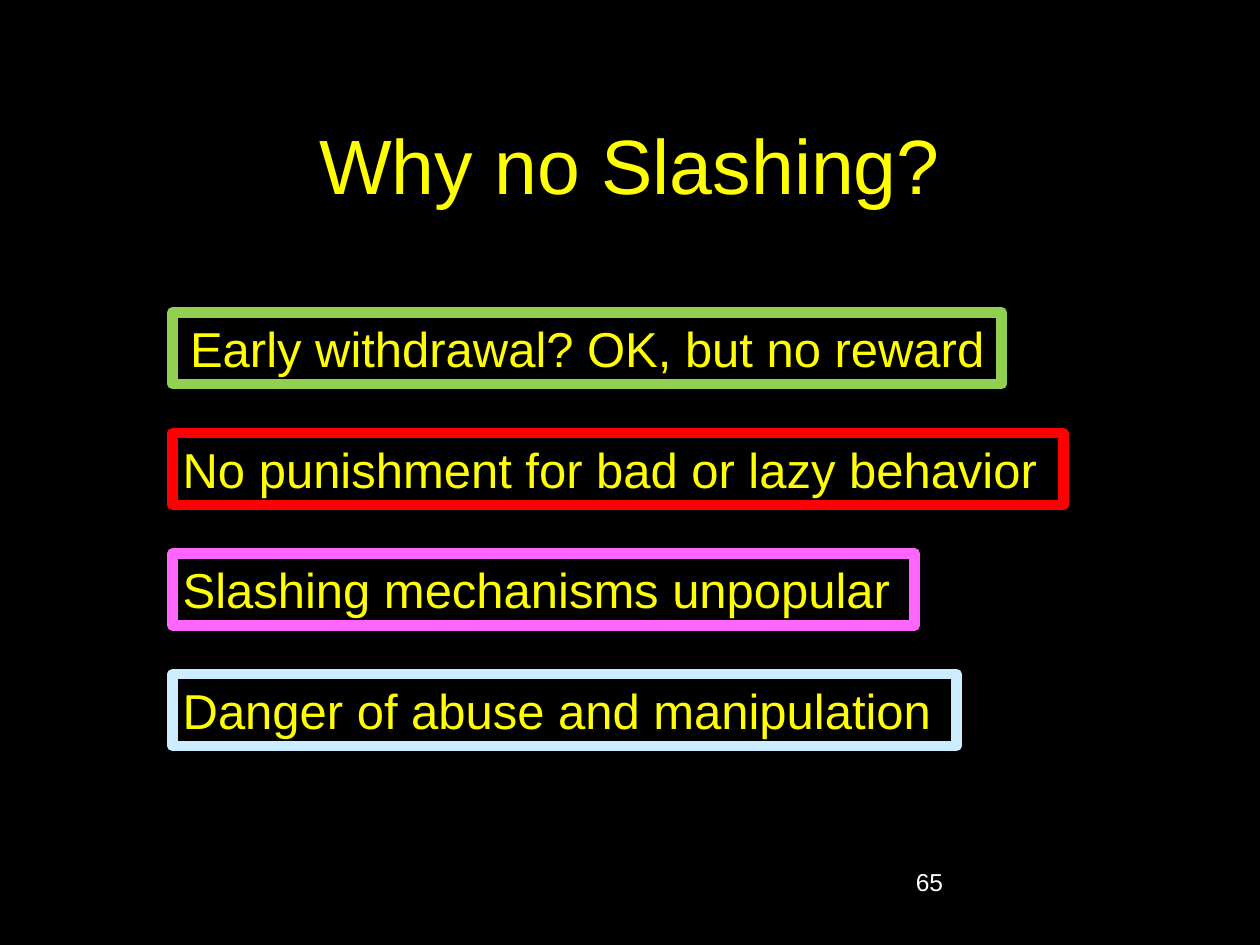
from pptx import Presentation
from pptx import util as u
from pptx.dml import color
from pptx.enum import shapes, text

HUES = {
    "black": "000000",
    "white": "FFFFFF",
    "yellow": "FFFF00",
    "green": "92D050",
    "red": "FF0000",
    "pink": "FF66FF",
    "blue": "CCECFF",
}
POINTS = [
    ("Early withdrawal? OK, but no reward", 6.58, "green", "CENTER"),
    ("No punishment for bad or lazy behavior", 7.07, "red", "LEFT"),
    ("Slashing mechanisms unpopular", 5.89, "pink", "LEFT"),
    ("Danger of abuse and manipulation", 6.22, "blue", "LEFT"),
]


def rgb(name):
    return color.RGBColor.from_string(HUES[name])


def write(shape, words, size, hue, align, anchor):
    frame = shape.text_frame
    frame.word_wrap = True
    frame.vertical_anchor = text.MSO_ANCHOR[anchor]
    line = frame.paragraphs[0]
    line.text = words
    line.alignment = text.PP_ALIGN[align]
    line.font.name = "Arial"
    line.font.size = u.Pt(size)
    line.font.color.rgb = rgb(hue)


deck = Presentation()
deck.slide_width = u.Inches(10)
deck.slide_height = u.Inches(7.5)
slide = deck.slides.add_slide(deck.slide_layouts[6])
slide.background.fill.solid()
slide.background.fill.fore_color.rgb = rgb("black")

title = slide.shapes.add_textbox(u.Inches(0.75), u.Inches(0.67), u.Inches(8.5), u.Inches(1.25))
write(title, "Why no Slashing?", 44, "yellow", "CENTER", "MIDDLE")

for row, (words, width, hue, align) in enumerate(POINTS):
    box = slide.shapes.add_shape(
        shapes.MSO_SHAPE.RECTANGLE,
        u.Inches(1.37), u.Inches(2.48 + row * 0.957), u.Inches(width), u.Inches(0.57),
    )
    box.shadow.inherit = False
    box.fill.solid()
    box.fill.fore_color.rgb = rgb("black")
    box.line.color.rgb = rgb(hue)
    box.line.width = u.Pt(6)
    box.text_frame.margin_left = box.text_frame.margin_right = u.Inches(0.08)
    write(box, words, 28, "yellow", align, "TOP")

number = slide.shapes.add_textbox(u.Inches(7.17), u.Inches(6.83), u.Inches(2.08), u.Inches(0.5))
write(number, "65", 14, "white", "LEFT", "TOP")

deck.save("out.pptx")
